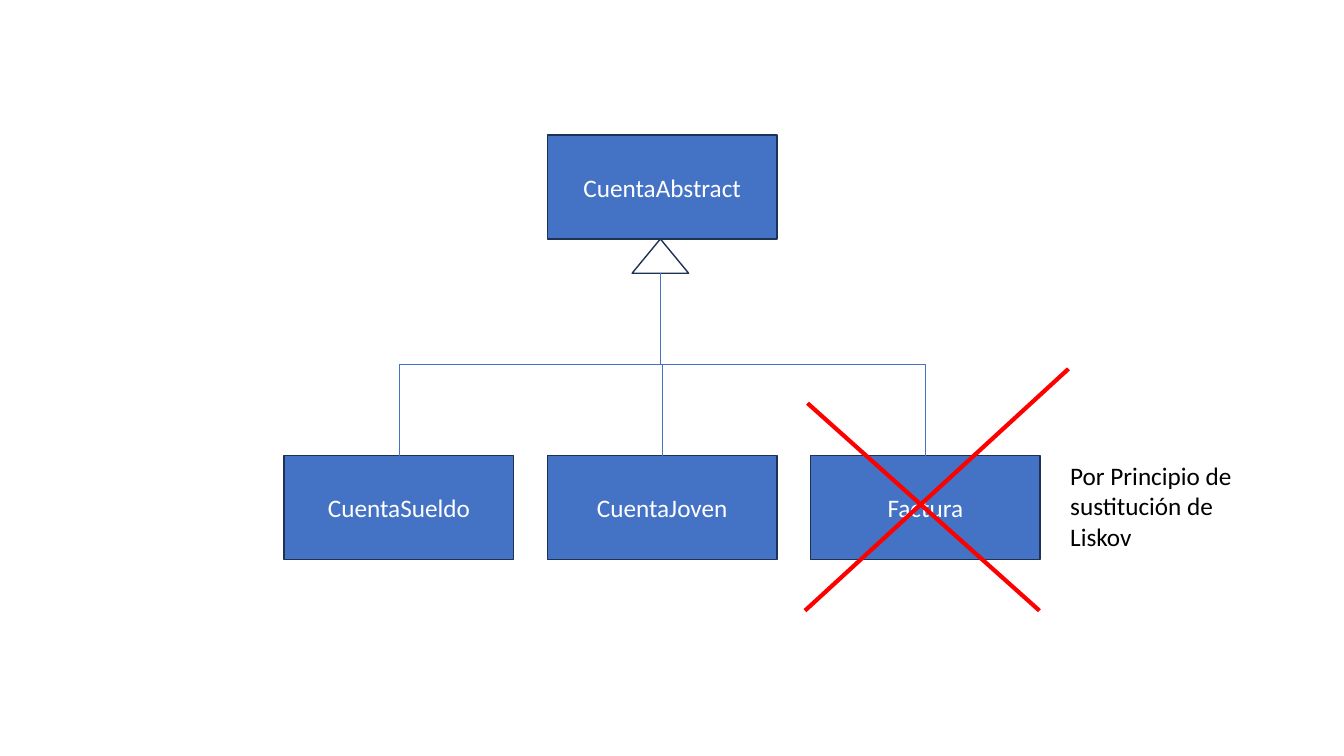
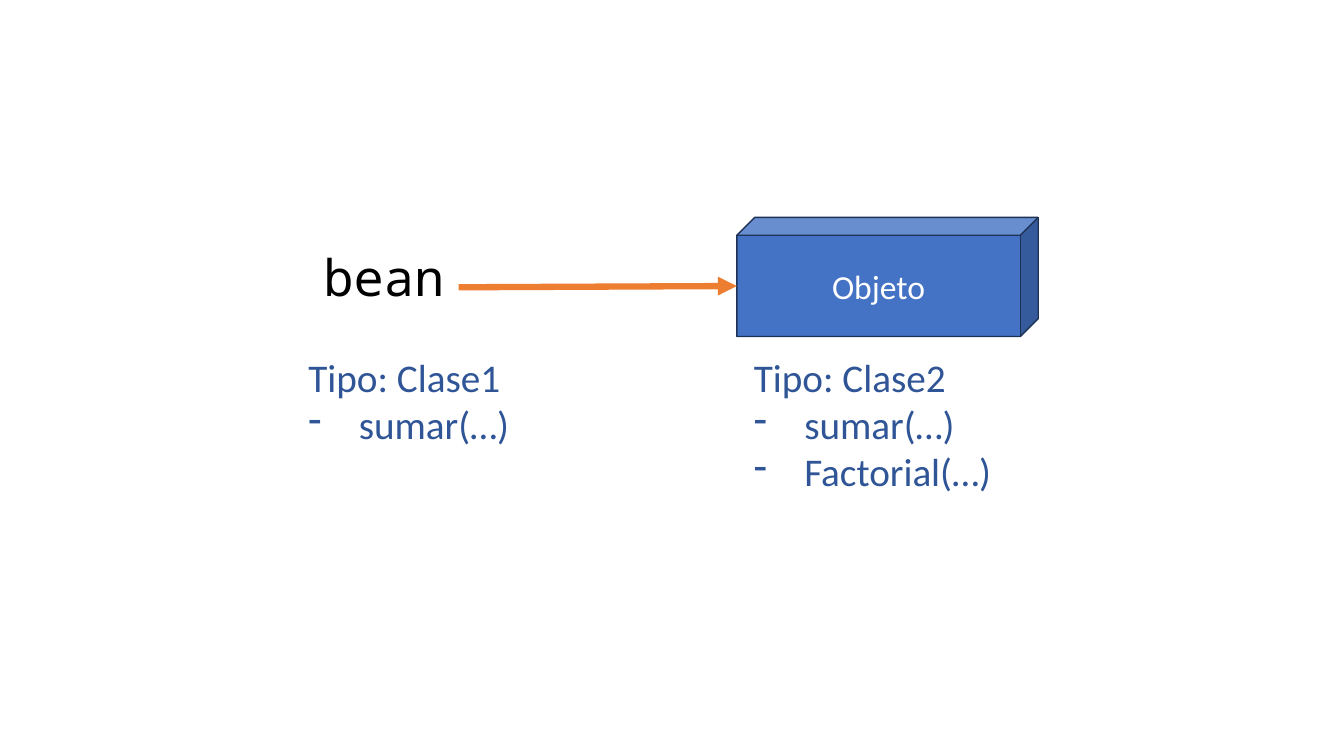
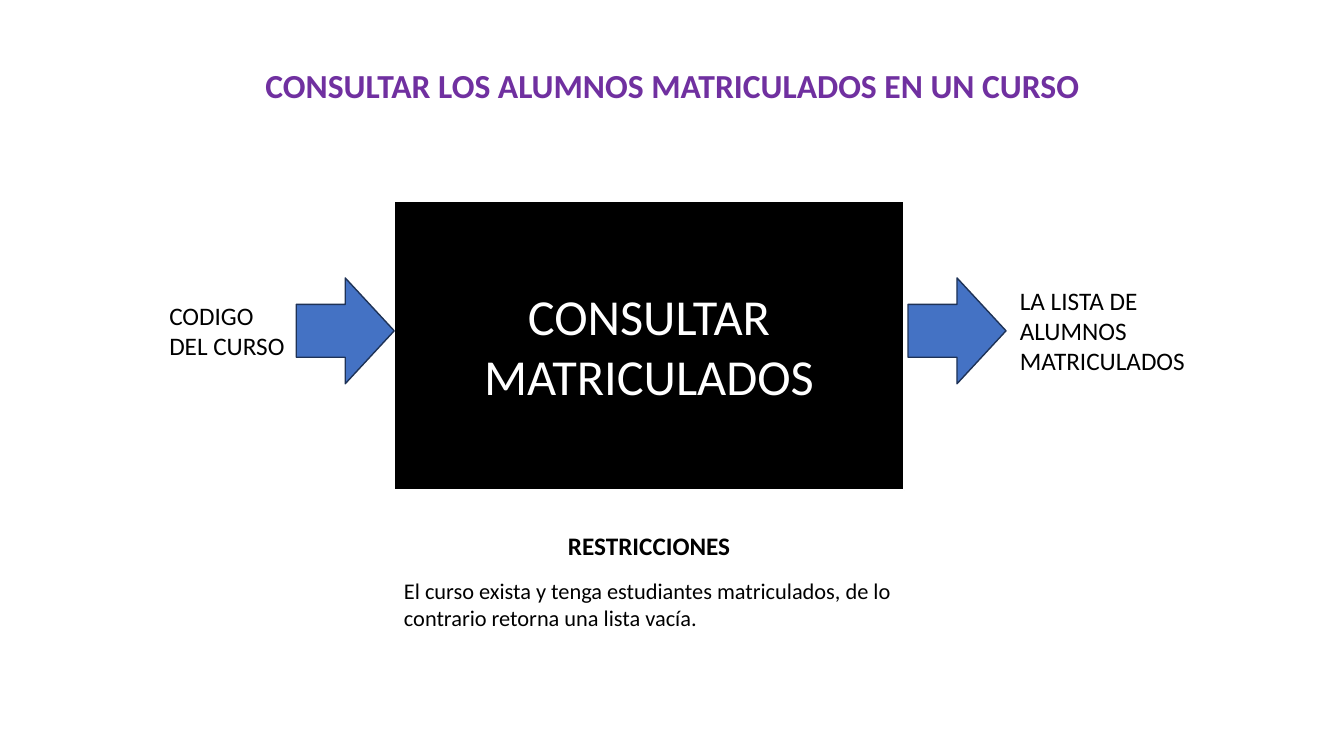
"""Build three slides on inheritance, references and a course query."""
from pptx import Presentation
from pptx.dml.color import RGBColor
from pptx.enum.shapes import MSO_CONNECTOR as CONN, MSO_SHAPE as SHAPE
from pptx.enum.text import MSO_ANCHOR as ANCHOR, MSO_AUTO_SIZE as AUTO, PP_ALIGN as ALIGN
from pptx.oxml.ns import qn
from pptx.util import Pt
from lxml.etree import SubElement

FONT = "Calibri"
MONO = "Noto Sans Mono"
BLUE, OUTLINE, DEEP_BLUE = "4472C4", "1E3256", "2F5597"
RED, ORANGE, PURPLE = "FF0000", "ED7D31", "7030A0"
BLACK, WHITE = "000000", "FFFFFF"
TITLE_ONLY, BLANK = 5, 6


def rgb(color):
    """Return the colour for a hex string."""
    return RGBColor.from_string(color)


def style(p, size, color, bold=False, font=FONT, align=ALIGN.LEFT):
    """Format a paragraph and its runs."""
    p.alignment = align
    for r in p.runs:
        r.font.name = font
        r.font.size = Pt(size)
        r.font.bold = bold
        r.font.color.rgb = rgb(color)


def add_box(slide, kind, x, y, w, h, text="", size=18, fill=BLUE, line=OUTLINE, weight=1):
    """Add a preset shape with centred white text."""
    sp = slide.shapes.add_shape(kind, Pt(x), Pt(y), Pt(w), Pt(h))
    sp.shadow.inherit = False
    if fill:
        sp.fill.solid()
        sp.fill.fore_color.rgb = rgb(fill)
    else:
        sp.fill.background()
    sp.line.color.rgb = rgb(line)
    sp.line.width = Pt(weight)
    if text:
        tf = sp.text_frame
        tf.word_wrap = True
        tf.vertical_anchor = ANCHOR.MIDDLE
        tf.text = text
        style(tf.paragraphs[0], size, WHITE, align=ALIGN.CENTER)
    return sp


def add_text(slide, x, y, w, h, lines, size=18, color=BLACK, font=FONT, wrap=True):
    """Add a text box with one paragraph per line."""
    tf = slide.shapes.add_textbox(Pt(x), Pt(y), Pt(w), Pt(h)).text_frame
    tf.word_wrap = wrap
    tf.text = "\n".join(lines)
    for p in tf.paragraphs:
        style(p, size, color, font=font)
    return tf


def add_title(slide, text, x, y, w, h):
    """Place and format the title placeholder."""
    sp = slide.shapes.title
    sp.left, sp.top, sp.width, sp.height = Pt(x), Pt(y), Pt(w), Pt(h)
    tf = sp.text_frame
    tf.text = text
    tf.word_wrap = True
    tf.auto_size = AUTO.NONE
    tf.vertical_anchor = ANCHOR.TOP
    style(tf.paragraphs[0], 24, PURPLE, bold=True, align=ALIGN.CENTER)


def add_line(slide, x1, y1, x2, y2, color, weight, kind=CONN.STRAIGHT, arrow=False):
    """Add a connector without shadow, with an optional arrowhead at its end."""
    c = slide.shapes.add_connector(kind, Pt(x1), Pt(y1), Pt(x2), Pt(y2))
    c.line.color.rgb = rgb(color)
    c.line.width = Pt(weight)
    if arrow:
        SubElement(c.line._get_or_add_ln(), qn("a:tailEnd"), type="triangle")
    SubElement(c._element.spPr, qn("a:effectLst"))
    return c


def add_branch(slide, triangle, child):
    """Join the triangle's base to the top of a class with a vertical elbow."""
    x1, y1 = triangle.left + triangle.width // 2, triangle.top + triangle.height
    x2, y2 = child.left + child.width // 2, child.top
    c = add_line(slide, 0, 0, 0, 0, BLUE, 0.5, CONN.ELBOW)
    c.begin_connect(triangle, 3)
    c.end_connect(child, 0)
    c.width, c.height = y2 - y1, abs(x2 - x1)
    c.left = (x1 + x2 - c.width) // 2
    c.top = (y1 + y2 - c.height) // 2
    rightward = x2 > x1
    c.rotation = 270 if rightward else 90
    xfrm = c._element.spPr.xfrm
    xfrm.flipH, xfrm.flipV = rightward, False


def add_type(slide, x, name, methods):
    """Add a type name with its dashed list of methods."""
    tf = add_text(slide, x, 249, 290, 108.7, [f"Tipo: {name}", *methods], 28, DEEP_BLUE)
    for p in tf.paragraphs[1:]:
        pPr = p._p.get_or_add_pPr()
        pPr.set("marL", str(Pt(36)))
        pPr.set("indent", str(-Pt(36)))
        SubElement(pPr, qn("a:buChar"), char="-")


def build_hierarchy(prs):
    """Draw the class tree with the rejected subclass."""
    slide = prs.slides.add_slide(prs.slide_layouts[BLANK])
    left, pitch, w, h = 203, 188, 164, 74.2
    add_box(slide, SHAPE.RECTANGLE, left + pitch, 96.5, w, h, "CuentaAbstract")
    children = [add_box(slide, SHAPE.RECTANGLE, left + i * pitch, 325.4, w, h, name)
                for i, name in enumerate(("CuentaSueldo", "CuentaJoven", "Factura"))]
    triangle = add_box(slide, SHAPE.ISOSCELES_TRIANGLE, 451.5, 170.7, 40.4, 24.5, fill=None)
    for child in children:
        add_branch(slide, triangle, child)
    add_line(slide, 763.2, 263.5, 575, 436.2, RED, 3)
    add_line(slide, 742.5, 436.2, 576.8, 288, RED, 3)
    add_text(slide, 757.4, 325.4, 129.6, 72.7, ["Por Principio de sustitución de Liskov"])


def build_reference(prs):
    """Draw a variable that points to an object, with both types."""
    slide = prs.slides.add_slide(prs.slide_layouts[BLANK])
    add_text(slide, 224, 172, 126.7, 51, ["bean"], 36, font=MONO)
    cube = add_box(slide, SHAPE.CUBE, 526.3, 155.3, 215.3, 85, "Objeto", 24)
    cube.adjustments[0] = 0.15
    add_line(slide, 327.6, 205.2, 526.3, 204.3, ORANGE, 4.5, arrow=True)
    add_type(slide, 531.4, "Clase2", ["sumar(…)", "Factorial(…)"])
    add_type(slide, 213.2, "Clase1", ["sumar(…)"])


def build_query(prs):
    """Draw the query as a black box with input, output and restrictions."""
    slide = prs.slides.add_slide(prs.slide_layouts[TITLE_ONLY])
    add_title(slide, "CONSULTAR LOS ALUMNOS MATRICULADOS EN UN CURSO", 49, 42.5, 862.6, 36)
    add_box(slide, SHAPE.RECTANGLE, 281.5, 143.5, 364.3, 206.6, "CONSULTAR MATRICULADOS",
            36, BLACK, WHITE, 1.5)
    for x in (211.6, 648.6):
        add_box(slide, SHAPE.RIGHT_ARROW, x, 198.5, 70, 75.6)
    add_text(slide, 113.8, 211, 98, 51, ["CODIGO", "DEL CURSO"], wrap=False)
    add_text(slide, 721.4, 200, 134, 72.7, ["LA LISTA DE ALUMNOS MATRICULADOS"])
    tf = add_text(slide, 281.5, 375, 364.3, 80, [
        "RESTRICCIONES",
        "El curso exista y tenga estudiantes matriculados, de lo contrario retorna una lista vacía.",
    ], 16)
    style(tf.paragraphs[0], 18, BLACK, bold=True, align=ALIGN.CENTER)
    for p in tf.paragraphs:
        p.space_before = p.space_after = Pt(6)


def main():
    """Build and save the presentation."""
    prs = Presentation()
    prs.slide_width, prs.slide_height = Pt(960), Pt(540)
    build_hierarchy(prs)
    build_reference(prs)
    build_query(prs)
    prs.save("out.pptx")


if __name__ == "__main__":
    main()
